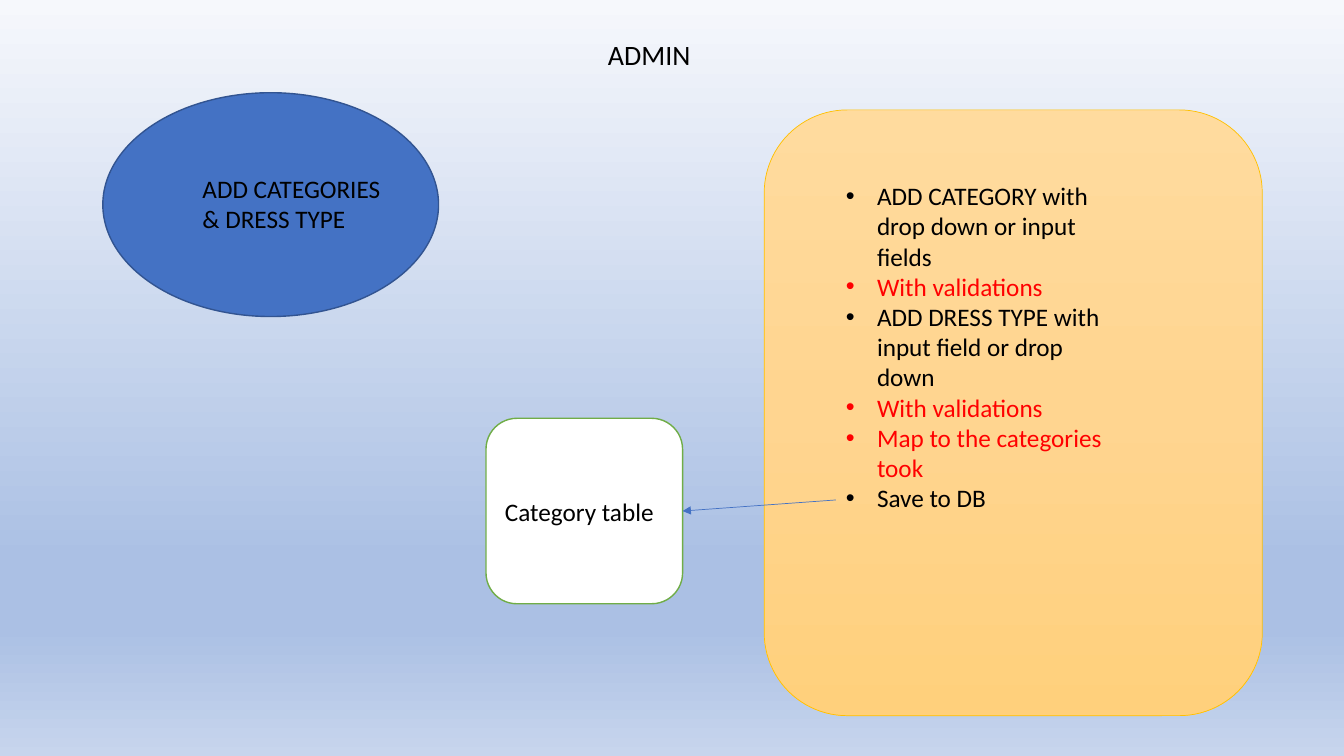
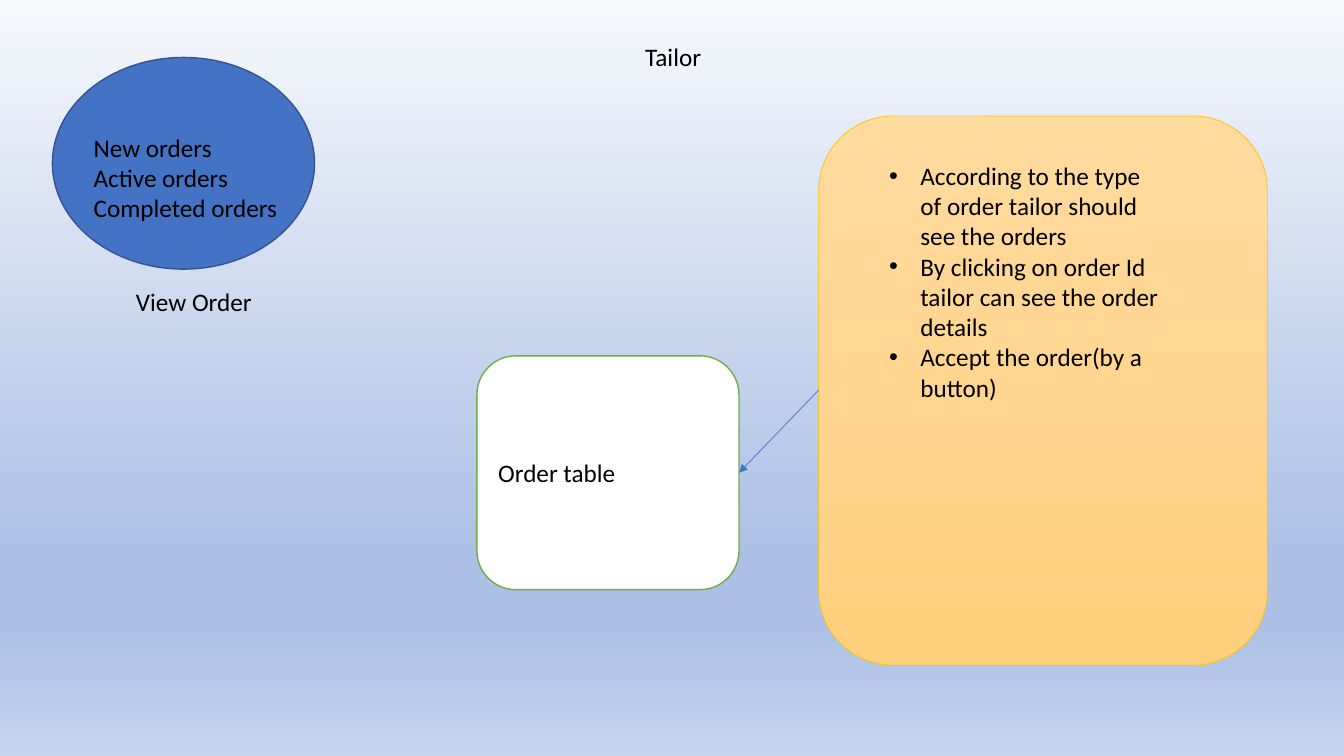
from lxml import etree
from pptx import Presentation
from pptx.dml.color import RGBColor
from pptx.enum import shapes, text
from pptx.oxml.ns import qn
from pptx.util import Inches, Pt

FONT = "Calibri"
BODY_SIZE = 18
BULLET_INDENT = 0.31
RIGHT_SITE = 3  # connection site in the middle of the right edge

COLOURS = {
    "text": "000000", "alert": "FF0000",
    "actor": "4472C4", "actor_line": "325491",
    "panel_line": "FFC000",
    "table": "FFFFFF", "table_line": "70AD47",
    "arrow": "4472C4",
}
BACKGROUND = [(0, "F6F8FC"), (74, "ABC0E4"), (83, "ABC0E4"), (100, "C7D5ED")]
PANEL_FILL = [(0, "FFDB9E"), (50, "FFD590"), (100, "FFD07C")]

# Boxes are left, top, width, height in inches; a step is (wording, colour).
SLIDES = [
    {
        "title": ("ADMIN", 20, (5.93, 0.32, 1.48, 0.44)),
        "actor": (1.02, 0.92, 3.33, 2.22),
        "labels": [(["ADD CATEGORIES & DRESS TYPE"], (1.91, 1.67, 2.03, 0.71))],
        "panel": (7.58, 1.09, 4.94, 6.01),
        "steps_box": (8.29, 1.74, 2.91, 4.04),
        "steps": [
            ("ADD CATEGORY with drop down or input fields", "text"),
            ("With validations", "alert"),
            ("ADD DRESS TYPE with input field or drop down", "text"),
            ("With validations", "alert"),
            ("Map to the categories took", "alert"),
            ("Save to DB", "text"),
        ],
        "table": ("Category table", (4.82, 4.15, 1.95, 1.84)),
        "arrow_start": (8.29, 4.96),
    },
    {
        "title": ("Tailor", 18, (6.3, 0.36, 1.49, 0.71)),
        "actor": (0.52, 0.57, 2.6, 2.1),
        "labels": [
            (["New orders", "Active orders", "Completed orders"],
             (0.83, 1.26, 2.22, 1.01)),
            (["View Order"], (1.25, 2.79, 1.5, 0.4)),
        ],
        "panel": (8.12, 1.15, 4.45, 5.45),
        "steps_box": (8.72, 1.54, 2.88, 2.83),
        "steps": [
            ("According to the type of order tailor should see the orders", "text"),
            ("By clicking on order Id tailor can see the order details", "text"),
            ("Accept the order(by a button)", "text"),
        ],
        "table": ("Order table", (4.73, 3.53, 2.6, 2.32)),
        "arrow_start": (8.12, 3.87),
    },
]


def rgb(name):
    return RGBColor.from_string(COLOURS[name])


def inches(values):
    return [Inches(v) for v in values]


def set_gradient(fill, element, stops):
    """Give a fill a top-to-bottom gradient of (percent, colour) stops."""
    fill.gradient()
    fill.gradient_angle = 270
    stop_list = next(element.iter(qn("a:gsLst")))
    for old in list(stop_list):
        stop_list.remove(old)
    for percent, colour in stops:
        stop = etree.SubElement(stop_list, qn("a:gs"), pos=str(percent * 1000))
        etree.SubElement(stop, qn("a:srgbClr"), val=colour)


def write(tf, lines, size=BODY_SIZE, bullets=False):
    """Fill a text frame with (wording, colour) paragraphs."""
    tf.word_wrap = True
    for i, (wording, colour) in enumerate(lines):
        p = tf.paragraphs[0] if i == 0 else tf.add_paragraph()
        p.text = wording
        p.alignment = text.PP_ALIGN.LEFT
        p.font.name, p.font.size = FONT, Pt(size)
        p.font.color.rgb = rgb(colour)
        if bullets:
            pPr = p._p.get_or_add_pPr()
            pPr.set("marL", str(Inches(BULLET_INDENT)))
            pPr.set("indent", str(-Inches(BULLET_INDENT)))
            bullet_font = etree.Element(qn("a:buFont"), typeface="Arial")
            bullet = etree.Element(qn("a:buChar"), char="•")
            pPr.insert(0, bullet_font)
            bullet_font.addnext(bullet)


def add_text(slide, box, lines, **style):
    write(slide.shapes.add_textbox(*inches(box)).text_frame, lines, **style)


def add_box(slide, kind, box, line, width=1, fill=None):
    sp = slide.shapes.add_shape(kind, *inches(box))
    sp.shadow.inherit = False
    sp.line.color.rgb, sp.line.width = rgb(line), Pt(width)
    if fill:
        sp.fill.solid()
        sp.fill.fore_color.rgb = rgb(fill)
    else:
        set_gradient(sp.fill, sp.element, PANEL_FILL)
    return sp


def add_arrow(slide, start, target):
    """Draw an arrow from a point to the right edge of a shape."""
    x, y = inches(start)
    arrow = slide.shapes.add_connector(shapes.MSO_CONNECTOR.STRAIGHT, x, y, x, y)
    arrow.end_connect(target, RIGHT_SITE)
    arrow.line.color.rgb, arrow.line.width = rgb("arrow"), Pt(0.5)
    etree.SubElement(arrow.line._get_or_add_ln(), qn("a:tailEnd"), type="triangle")
    etree.SubElement(arrow.element.spPr, qn("a:effectLst"))


def build_slide(prs, content):
    slide = prs.slides.add_slide(prs.slide_layouts[6])
    oval, rounded = shapes.MSO_SHAPE.OVAL, shapes.MSO_SHAPE.ROUNDED_RECTANGLE

    title, size, box = content["title"]
    add_text(slide, box, [(title, "text")], size=size)

    add_box(slide, oval, content["actor"], "actor_line", fill="actor")
    for lines, box in content["labels"]:
        add_text(slide, box, [(line, "text") for line in lines])

    add_box(slide, rounded, content["panel"], "panel_line", width=0.5)
    add_text(slide, content["steps_box"], content["steps"], bullets=True)

    name, box = content["table"]
    table = add_box(slide, rounded, box, "table_line", fill="table")
    table.text_frame.vertical_anchor = text.MSO_ANCHOR.MIDDLE
    write(table.text_frame, [(name, "text")])
    add_arrow(slide, content["arrow_start"], table)


def main():
    prs = Presentation()
    prs.slide_width, prs.slide_height = inches((13.33, 7.5))
    master = prs.slide_master
    set_gradient(master.background.fill, master.element, BACKGROUND)
    for content in SLIDES:
        build_slide(prs, content)
    prs.save("out.pptx")


if __name__ == "__main__":
    main()
